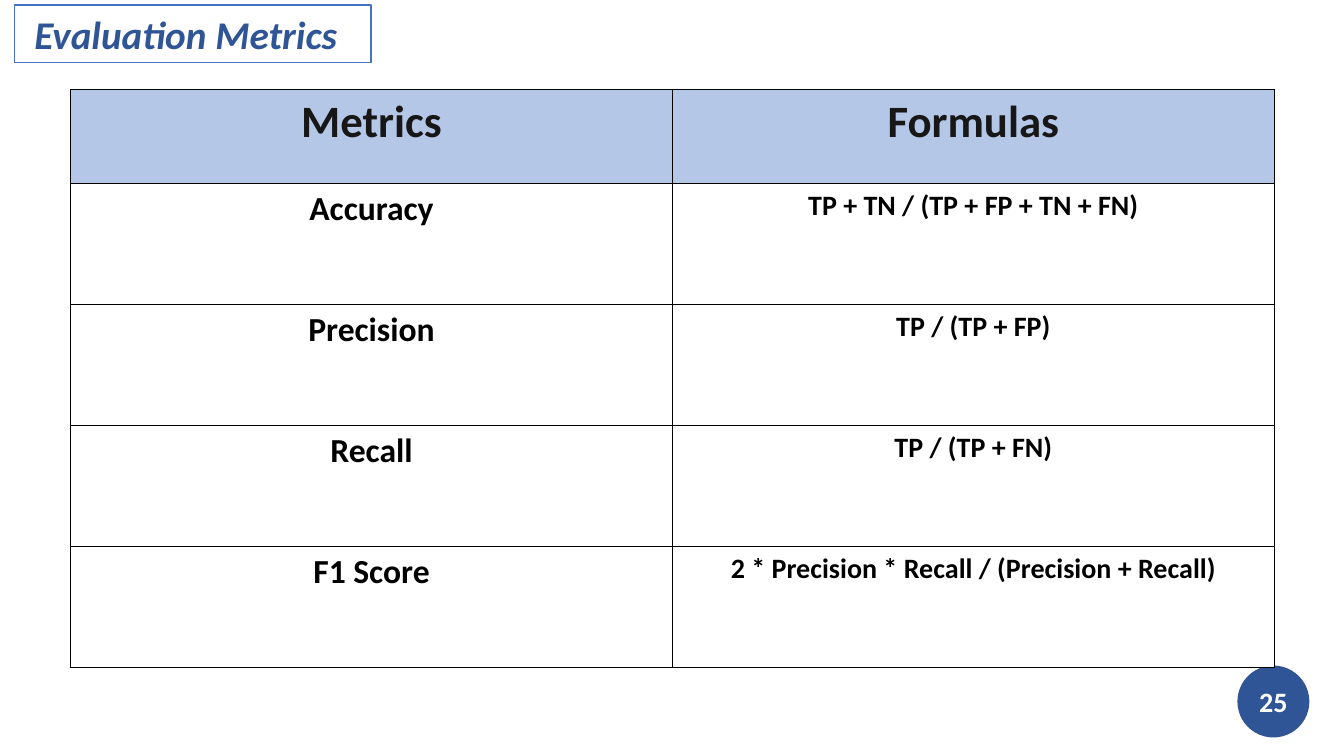
"""Build the evaluation metrics slide with its table of formulas."""
from lxml import etree
from pptx import Presentation
from pptx.dml.color import RGBColor
from pptx.enum import shapes, text
from pptx.oxml import ns
from pptx.util import Inches, Pt


def color(value):
    return RGBColor.from_string(value)


def write(frame, content, size, font_color, alignment, italic=False):
    paragraph = frame.paragraphs[0]
    paragraph.alignment = alignment
    run = paragraph.add_run()
    run.text = content
    run.font.color.rgb = color(font_color)
    font_format = {"name": "Calibri", "size": Pt(size), "bold": True, "italic": italic}
    for attribute, value in font_format.items():
        setattr(run.font, attribute, value)


presentation = Presentation()
presentation.slide_width = Inches(13.33)
presentation.slide_height = Inches(7.5)
slide = presentation.slides.add_slide(presentation.slide_layouts[6])

title = slide.shapes.add_textbox(Inches(0.14), Inches(0.05), Inches(3.54), Inches(0.57))
title.line.color.rgb = color("4472C4")
title.line.width = Pt(0.75)
title.text_frame.word_wrap = True
title.text_frame.margin_left = Inches(0.2)
write(title.text_frame, "Evaluation Metrics", 28, "2F5597", text.PP_ALIGN.LEFT, italic=True)

badge = slide.shapes.add_shape(
    shapes.MSO_SHAPE.OVAL, Inches(12.28), Inches(6.61), Inches(0.7), Inches(0.7))
badge.shadow.inherit = False
badge.fill.solid()
badge.fill.fore_color.rgb = color("2F5597")
badge.line.color.rgb = color("325491")
badge.line.width = Pt(1)
badge_format = {"vertical_anchor": text.MSO_ANCHOR.MIDDLE, "word_wrap": False,
                "margin_left": 0, "margin_right": 0}
for attribute, value in badge_format.items():
    setattr(badge.text_frame, attribute, value)
write(badge.text_frame, "25", 20, "FFFFFF", text.PP_ALIGN.CENTER)

metrics = [
    ("Metrics", "Formulas"),
    ("Accuracy", "TP + TN / (TP + FP + TN + FN)"),
    ("Precision", "TP / (TP + FP)"),
    ("Recall", "TP / (TP + FN)"),
    ("F1 Score", "2 * Precision * Recall / (Precision + Recall)"),
]
table = slide.shapes.add_table(
    len(metrics), 2, Inches(0.7), Inches(0.89), Inches(11.94), Inches(5.73)).table
table.horz_banding = False
for column in table.columns:
    column.width = Inches(5.97)

for row_index, row in enumerate(metrics):
    header = row_index == 0
    table.rows[row_index].height = Inches(0.93 if header else 1.2)
    sizes = (32, 32) if header else (24, 20)
    for column_index, content in enumerate(row):
        cell = table.cell(row_index, column_index)
        properties = cell._tc.get_or_add_tcPr()
        for side in ("lnL", "lnR", "lnT", "lnB"):
            border = etree.SubElement(properties, ns.qn(f"a:{side}"), w=str(Pt(1)))
            border_fill = etree.SubElement(border, ns.qn("a:solidFill"))
            etree.SubElement(border_fill, ns.qn("a:srgbClr"), val="000000")
        cell.fill.solid()
        cell.fill.fore_color.rgb = color("B4C7E7" if header else "FFFFFF")
        write(cell.text_frame, content, sizes[column_index],
              "181717" if header else "000000", text.PP_ALIGN.CENTER)

presentation.save("out.pptx")
